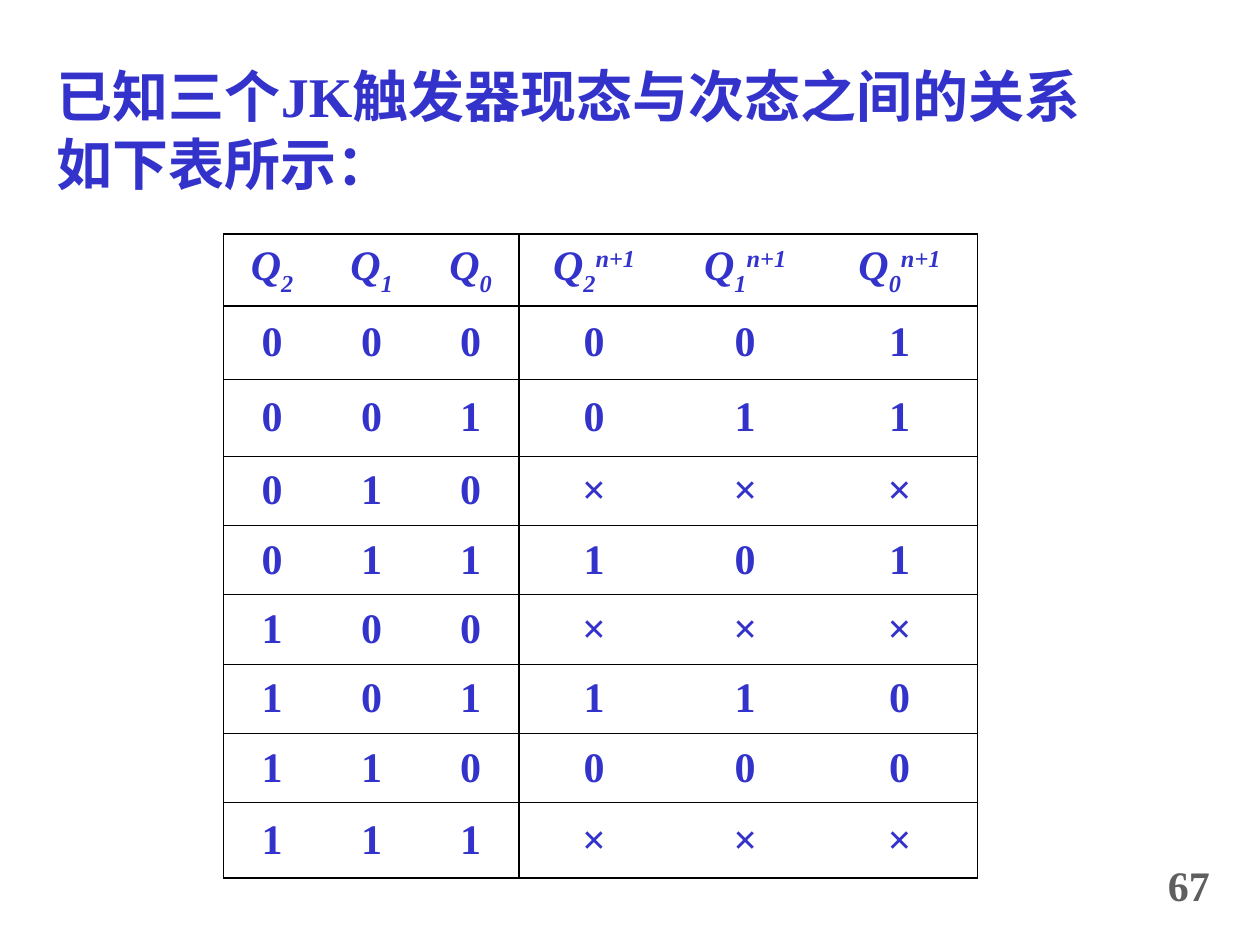
from dataclasses import dataclass

import pptx
import pptx.dml.color
import pptx.enum.text
import pptx.oxml
import pptx.oxml.ns
import pptx.table
import pptx.text.text
import pptx.util
from lxml import etree

Inches = pptx.util.Inches
Pt = pptx.util.Pt


@dataclass(frozen=True)
class Theme:
    latin: str = "Times New Roman"
    chinese: str = "Noto Sans CJK SC"
    accent: str = "3333CC"
    muted: str = "5F5F5F"
    rule: str = "000000"
    heading_size: float = 32
    body_size: float = 24
    thin: float = 0.34
    medium: float = 0.96
    thick: float = 1.47


@dataclass(frozen=True)
class Piece:
    text: str
    size: float
    color: str
    font: str
    italic: bool = False
    baseline: int = 0


THEME = Theme()
COLUMN_WIDTHS = (0.78, 0.8, 0.77, 1.19, 1.21, 1.24)
ROW_HEIGHTS = (0.57, 0.58, 0.61, 0.55, 0.55, 0.55, 0.55, 0.55, 0.6)
NEXT_STATES = ("001", "011", "×××", "101", "×××", "110", "000", "×××")
STATE_BITS = 3


def add_piece(paragraph: pptx.text.text._Paragraph, piece: Piece) -> None:
    run = paragraph.add_run()
    run.text = piece.text
    run.font.size = Pt(piece.size)
    run.font.bold = True
    run.font.italic = piece.italic
    run.font.color.rgb = pptx.dml.color.RGBColor.from_string(piece.color)
    run.font.name = piece.font
    properties = run.font._element
    etree.SubElement(properties, pptx.oxml.ns.qn("a:ea"), typeface=piece.font)
    if piece.baseline:
        properties.set("baseline", str(piece.baseline * 1000))


def add_border(cell: pptx.table._Cell, side: str, width: float) -> None:
    properties = cell._tc.get_or_add_tcPr()
    line = etree.SubElement(properties, pptx.oxml.ns.qn(f"a:ln{side}"))
    if not width:
        line.set("w", "0")
        etree.SubElement(line, pptx.oxml.ns.qn("a:noFill"))
        return
    line.set("w", str(Pt(width)))
    fill = etree.SubElement(line, pptx.oxml.ns.qn("a:solidFill"))
    etree.SubElement(fill, pptx.oxml.ns.qn("a:srgbClr"), val=THEME.rule)


def horizontal_rule(edge: int) -> float:
    if edge in (0, len(ROW_HEIGHTS)):
        return THEME.thick
    return THEME.medium if edge == 1 else THEME.thin


def vertical_rule(edge: int) -> float:
    if edge in (0, len(COLUMN_WIDTHS)):
        return THEME.thin
    return THEME.medium if edge == STATE_BITS else 0


def header_pieces(column: int) -> list[Piece]:
    bit = STATE_BITS - 1 - column % STATE_BITS
    parts = [("Q", 0), (str(bit), -30)]
    if column >= STATE_BITS:
        parts.append(("n+1", 30))
    return [
        Piece(text, THEME.body_size, THEME.accent, THEME.latin, True, baseline)
        for text, baseline in parts
    ]


def value_pieces(state: int, column: int) -> list[Piece]:
    values = f"{state:03b}" + NEXT_STATES[state]
    return [Piece(values[column], THEME.body_size, THEME.accent, THEME.latin)]


def add_state_table(slide: pptx.slide.Slide) -> None:
    states = slide.shapes.add_table(
        len(ROW_HEIGHTS), len(COLUMN_WIDTHS),
        Inches(1.77), Inches(1.86), Inches(5.98), Inches(5.12),
    ).table
    states.first_row = False
    states.horz_banding = False
    for column, width in zip(states.columns, COLUMN_WIDTHS):
        column.width = Inches(width)
    for row, height in zip(states.rows, ROW_HEIGHTS):
        row.height = Inches(height)
    for row in range(len(ROW_HEIGHTS)):
        for column in range(len(COLUMN_WIDTHS)):
            cell = states.cell(row, column)
            cell.vertical_anchor = pptx.enum.text.MSO_ANCHOR.MIDDLE
            add_border(cell, "L", vertical_rule(column))
            add_border(cell, "R", vertical_rule(column + 1))
            add_border(cell, "T", horizontal_rule(row))
            add_border(cell, "B", horizontal_rule(row + 1))
            cell.fill.background()
            paragraph = cell.text_frame.paragraphs[0]
            paragraph.alignment = pptx.enum.text.PP_ALIGN.CENTER
            pieces = value_pieces(row - 1, column) if row else header_pieces(column)
            for piece in pieces:
                add_piece(paragraph, piece)


def add_heading(slide: pptx.slide.Slide) -> None:
    heading = slide.shapes.title
    heading.left, heading.top = Inches(0.35), Inches(0.44)
    heading.width, heading.height = Inches(8.51), Inches(1.17)
    frame = heading.text_frame
    frame.word_wrap = True
    frame.auto_size = pptx.enum.text.MSO_AUTO_SIZE.NONE
    frame.vertical_anchor = pptx.enum.text.MSO_ANCHOR.MIDDLE
    paragraph = frame.paragraphs[0]
    paragraph.alignment = pptx.enum.text.PP_ALIGN.LEFT
    for text, font in (
        ("已知三个", THEME.chinese),
        ("JK", THEME.latin),
        ("触发器现态与次态之间的关系如下表所示：", THEME.chinese),
    ):
        add_piece(paragraph, Piece(text, THEME.heading_size, THEME.accent, font))


def add_page_number(slide: pptx.slide.Slide) -> None:
    page_number = slide.shapes.add_textbox(
        Inches(9.17), Inches(6.82), Inches(0.63), Inches(0.46)
    )
    frame = page_number.text_frame
    frame.word_wrap = True
    paragraph = frame.paragraphs[0]
    paragraph.line_spacing = 0.9
    add_piece(paragraph, Piece("67", THEME.body_size, THEME.muted, THEME.latin))


def main() -> None:
    presentation = pptx.Presentation()
    presentation.slide_width = Inches(10)
    presentation.slide_height = Inches(7.5)
    slide = presentation.slides.add_slide(presentation.slide_layouts[5])
    add_state_table(slide)
    add_heading(slide)
    add_page_number(slide)
    presentation.save("out.pptx")


if __name__ == "__main__":
    main()
